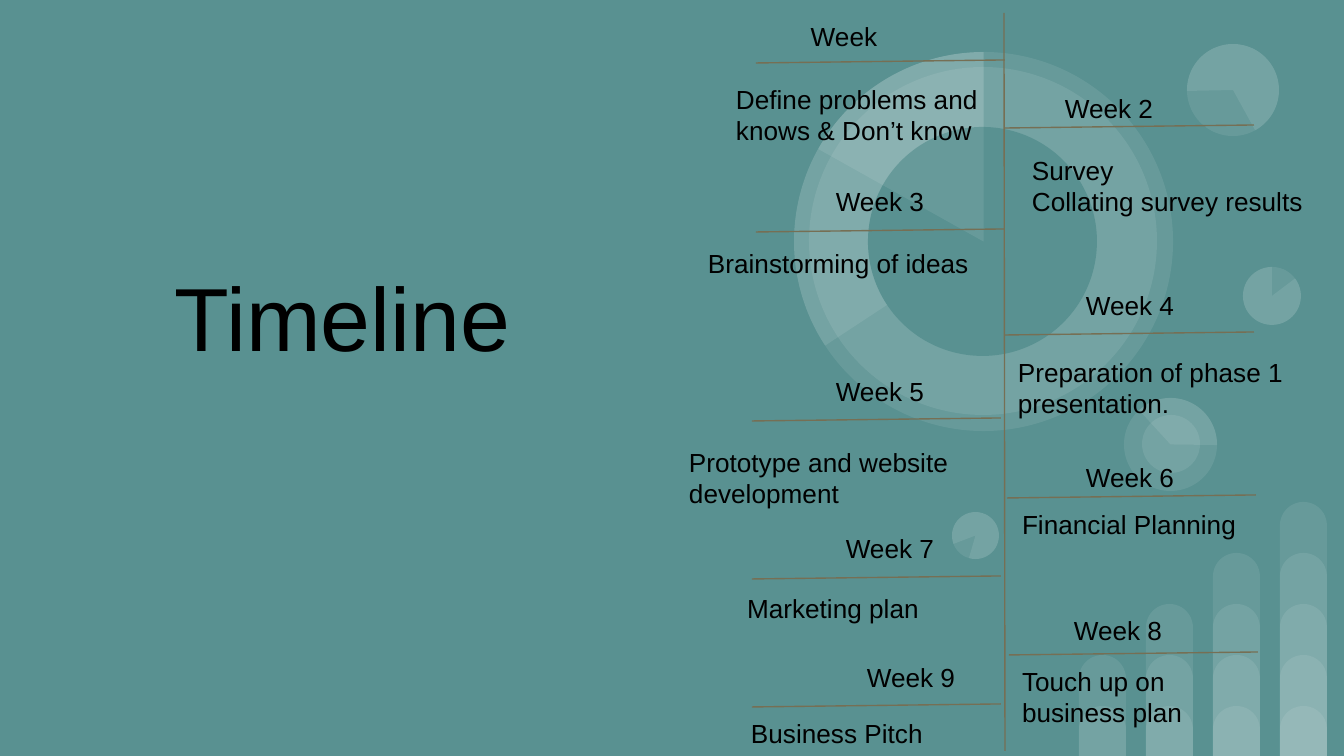
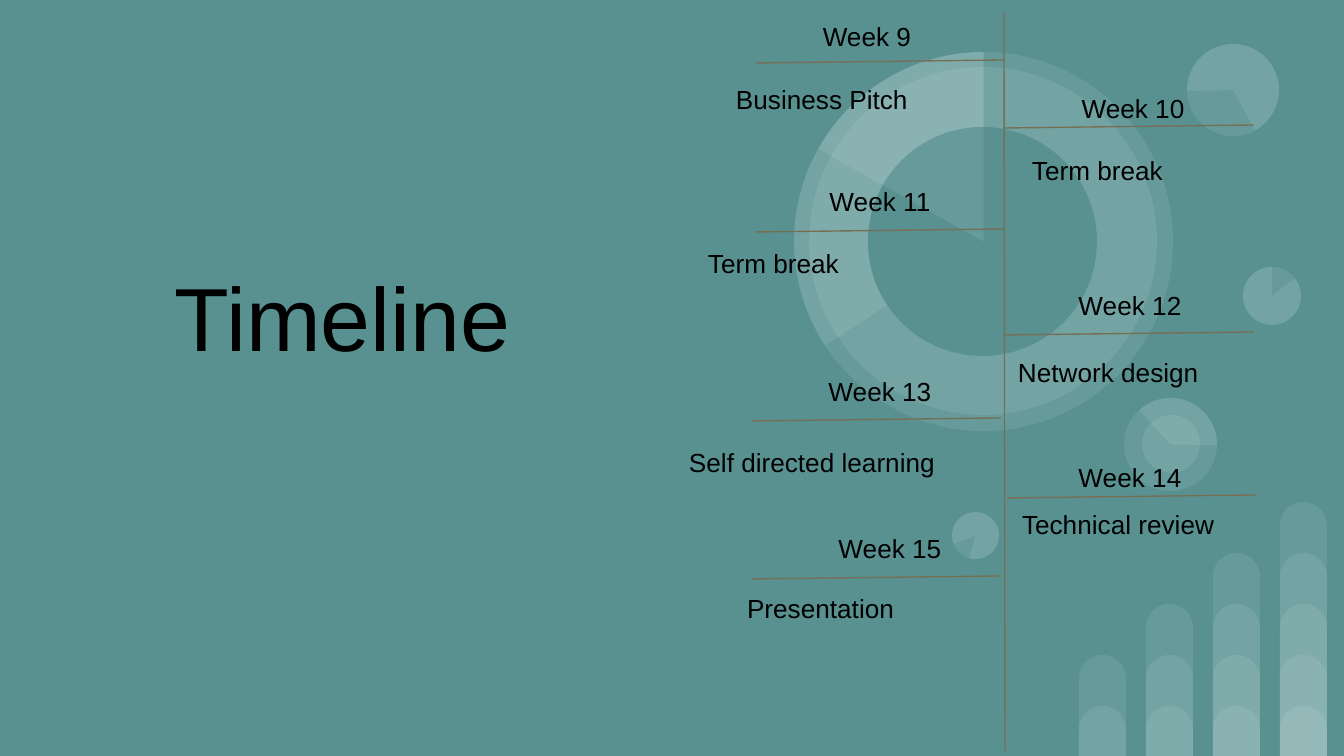
"""Build the two timeline slides: soft chart motifs, a central axis and weekly milestones."""
from dataclasses import dataclass, replace

from lxml import etree
from pptx import Presentation
from pptx.dml.color import RGBColor
from pptx.enum.shapes import MSO_CONNECTOR, MSO_SHAPE
from pptx.enum.text import MSO_ANCHOR, MSO_AUTO_SIZE, PP_ALIGN
from pptx.oxml.ns import qn
from pptx.shapes.autoshape import Shape
from pptx.shapes.shapetree import GroupShapes
from pptx.slide import Slide
from pptx.util import Emu, Pt

STRAIGHT = MSO_CONNECTOR.STRAIGHT
ELLIPSE, PIE, BAR = MSO_SHAPE.OVAL, MSO_SHAPE.PIE, MSO_SHAPE.ROUND_2_SAME_RECTANGLE
TOP, NO_AUTOFIT = MSO_ANCHOR.TOP, MSO_AUTO_SIZE.NONE
LEFT, CENTER = PP_ALIGN.LEFT, PP_ALIGN.CENTER

SLIDE_W, SLIDE_H = 1344, 756
EMU_PER_PX = 9144000 / SLIDE_W
TITLE_ONLY = 5
PIE_UNITS_PER_DEGREE = 0.6


@dataclass(frozen=True)
class Theme:
    """Colours, type and spacing used on every slide."""
    background: RGBColor = RGBColor(0x59, 0x91, 0x91)
    motif: RGBColor = RGBColor(0xFF, 0xFF, 0xFF)
    rule: RGBColor = RGBColor(0x76, 0x6F, 0x54)
    ink: RGBColor = RGBColor(0, 0, 0)
    font: str = "Arial"
    title_pt: int = 48
    body_pt: int = 14
    rule_pt: float = 0.75
    motif_opacity: int = 9
    inset: int = 13
    title_inset_top: int = 20


THEME = Theme()


@dataclass(frozen=True)
class Box:
    """A rectangle in px."""
    x: int
    y: int
    w: int
    h: int = 56


@dataclass(frozen=True)
class Disc:
    """A circle, or a pie when its angles are given in degrees."""
    x: int
    y: int
    size: int
    rotation: float = 0
    angles: tuple[float, ...] = ()
    is_hole: bool = False


@dataclass(frozen=True)
class Slot:
    """Where one milestone sits: its rule, week label and activity."""
    rule: tuple[int, int]
    week: Box
    activity: Box


@dataclass(frozen=True)
class Milestone:
    """A week and the lines that describe its activity."""
    week: str
    activity: tuple[str, ...]


TITLE_BOX = Box(7, 242, 671, 95)
AXIS = (1004, 13, 1005, 751)
RULE_LENGTH, RULE_RISE = 249, 3

COLUMN_COUNT, COLUMN_X, COLUMN_PITCH, COLUMN_W = 4, 1079, 67, 47
BAR_BASE_H, BAR_STEP = 50, 51

DISCS = (
    Disc(1243, 267, 58),
    Disc(952, 512, 47, 196.2),
    Disc(1124, 398, 93, 90),
    Disc(1124, 398, 93, 90, (137.41, 270.77)),
    Disc(1142, 415, 58, 90),
    Disc(1243, 267, 58, 0, (322.95, 270)),
    Disc(1187, 44, 92, 215.9),
    Disc(1187, 44, 92, 215.9, (322.95, 205.23)),
    Disc(794, 52, 379),
    Disc(809, 67, 348, 34.1),
    Disc(794, 52, 379, 0, (146.69, 270)),
    Disc(868, 127, 229, 34.1, is_hole=True),
    Disc(794, 52, 379, 0, (209.24, 270)),
    Disc(952, 512, 47, 196.2, (322.95, 270)),
)

FIRST_SLOTS = (
    Slot((756, 63), Box(731, 7, 226), Box(723, 70, 345, 75)),
    Slot((1005, 128), Box(1019, 79, 180), Box(1019, 141, 583, 85)),
    Slot((756, 232), Box(790, 172, 180), Box(695, 234, 314, 69)),
    Slot((1005, 335), Box(1040, 276, 180), Box(1005, 343, 583, 69)),
    Slot((752, 421), Box(790, 362, 180), Box(676, 433, 314)),
    Slot((1007, 498), Box(1040, 448, 180), Box(1009, 495, 270)),
    Slot((752, 579), Box(800, 519, 180), Box(734, 579, 270)),
    Slot((1009, 655), Box(1028, 601, 180), Box(1009, 652, 270)),
    Slot((752, 707), Box(821, 648, 180), Box(738, 704, 270)),
)
SECOND_SLOTS = (
    replace(FIRST_SLOTS[0], week=Box(777, 7, 180)),
    replace(FIRST_SLOTS[1], week=Box(1019, 79, 228)),
    *FIRST_SLOTS[2:7],
)

FIRST_MILESTONES = (
    Milestone("Week", ("Define problems and knows & Don’t know",)),
    Milestone("Week 2", ("Survey", "Collating survey results")),
    Milestone("Week 3", ("Brainstorming of ideas",)),
    Milestone("Week 4", ("Preparation of phase 1", "presentation.")),
    Milestone("Week 5", ("Prototype and website development",)),
    Milestone("Week 6", ("Financial Planning",)),
    Milestone("Week 7", ("Marketing plan",)),
    Milestone("Week 8", ("Touch up on business plan",)),
    Milestone("Week 9", ("Business Pitch",)),
)
SECOND_MILESTONES = (
    Milestone("Week 9", ("Business Pitch",)),
    Milestone("Week 10", ("Term break",)),
    Milestone("Week 11", ("Term break",)),
    Milestone("Week 12", ("Network design",)),
    Milestone("Week 13", ("Self directed learning",)),
    Milestone("Week 14", ("Technical review",)),
    Milestone("Week 15", ("Presentation",)),
)


def px(length: int) -> Emu:
    """Turn px into EMU."""
    return Emu(round(length * EMU_PER_PX))


def place(box: Box) -> tuple[Emu, Emu, Emu, Emu]:
    """Return the EMU position and size of a box."""
    return px(box.x), px(box.y), px(box.w), px(box.h)


def add_motif(shapes: GroupShapes, kind: MSO_SHAPE, box: Box, opaque: bool = False) -> Shape:
    """Add one borderless background shape, faint white unless opaque."""
    motif = shapes.add_shape(kind, *place(box))
    motif.shadow.inherit = False
    motif.line.fill.background()
    motif.fill.solid()
    motif.fill.fore_color.rgb = THEME.background if opaque else THEME.motif
    if not opaque:
        colour = motif.element.spPr.find(f".//{qn('a:srgbClr')}")
        etree.SubElement(colour, qn("a:alpha"), val=str(THEME.motif_opacity * 1000))
    return motif


def add_columns(slide: Slide) -> None:
    """Draw rising columns of overlapping bars in the lower right corner."""
    group = slide.shapes.add_group_shape().shapes
    for column in range(COLUMN_COUNT):
        for level in range(column + 2):
            height = BAR_BASE_H + level * BAR_STEP
            box = Box(COLUMN_X + column * COLUMN_PITCH, SLIDE_H - height, COLUMN_W, height)
            bar = add_motif(group, BAR, box)
            bar.adjustments[0] = 0.5


def add_discs(slide: Slide) -> None:
    """Draw the ring and the small pies behind the timeline."""
    group = slide.shapes.add_group_shape().shapes
    for disc in DISCS:
        box = Box(disc.x, disc.y, disc.size, disc.size)
        motif = add_motif(group, PIE if disc.angles else ELLIPSE, box, disc.is_hole)
        motif.rotation = disc.rotation
        for index, angle in enumerate(disc.angles):
            motif.adjustments[index] = angle * PIE_UNITS_PER_DEGREE


def add_rule(slide: Slide, x1: int, y1: int, x2: int, y2: int) -> None:
    """Draw a thin timeline rule."""
    rule = slide.shapes.add_connector(STRAIGHT, px(x1), px(y1), px(x2), px(y2))
    rule.line.color.rgb = THEME.rule
    rule.line.width = Pt(THEME.rule_pt)
    etree.SubElement(rule.element.spPr, qn("a:effectLst"))


def write(holder: Shape, lines: tuple[str, ...], size: int, align: PP_ALIGN,
          inset_top: int = THEME.inset) -> None:
    """Fill a text holder with one paragraph per line."""
    frame = holder.text_frame
    frame.word_wrap = True
    frame.auto_size = NO_AUTOFIT
    frame.vertical_anchor = TOP
    frame.margin_left = frame.margin_right = frame.margin_bottom = px(THEME.inset)
    frame.margin_top = px(inset_top)
    frame.text = "\n".join(lines)
    for paragraph in frame.paragraphs:
        paragraph.alignment = align
        paragraph.font.name = THEME.font
        paragraph.font.size = Pt(size)
        paragraph.font.color.rgb = THEME.ink


def add_title(slide: Slide, wording: str) -> None:
    """Place and format the slide title."""
    title = slide.shapes.title
    title.left, title.top, title.width, title.height = place(TITLE_BOX)
    write(title, (wording,), THEME.title_pt, CENTER, THEME.title_inset_top)


def add_milestone(slide: Slide, slot: Slot, milestone: Milestone) -> None:
    """Draw one week with its rule and activity."""
    x, y = slot.rule
    add_rule(slide, x, y, x + RULE_LENGTH, y - RULE_RISE)
    week = slide.shapes.add_textbox(*place(slot.week))
    write(week, (milestone.week,), THEME.body_pt, CENTER)
    activity = slide.shapes.add_textbox(*place(slot.activity))
    write(activity, milestone.activity, THEME.body_pt, LEFT)


def add_timeline(deck: Presentation, slots: tuple[Slot, ...],
                 milestones: tuple[Milestone, ...]) -> None:
    """Add one timeline slide."""
    slide = deck.slides.add_slide(deck.slide_layouts[TITLE_ONLY])
    add_columns(slide)
    add_discs(slide)
    add_title(slide, "Timeline")
    add_rule(slide, *AXIS)
    for slot, milestone in zip(slots, milestones):
        add_milestone(slide, slot, milestone)


def main() -> None:
    """Build and save the deck."""
    deck = Presentation()
    deck.slide_width, deck.slide_height = px(SLIDE_W), px(SLIDE_H)
    backdrop = deck.slide_master.background.fill
    backdrop.solid()
    backdrop.fore_color.rgb = THEME.background
    add_timeline(deck, FIRST_SLOTS, FIRST_MILESTONES)
    add_timeline(deck, SECOND_SLOTS, SECOND_MILESTONES)
    deck.save("out.pptx")


if __name__ == "__main__":
    main()
